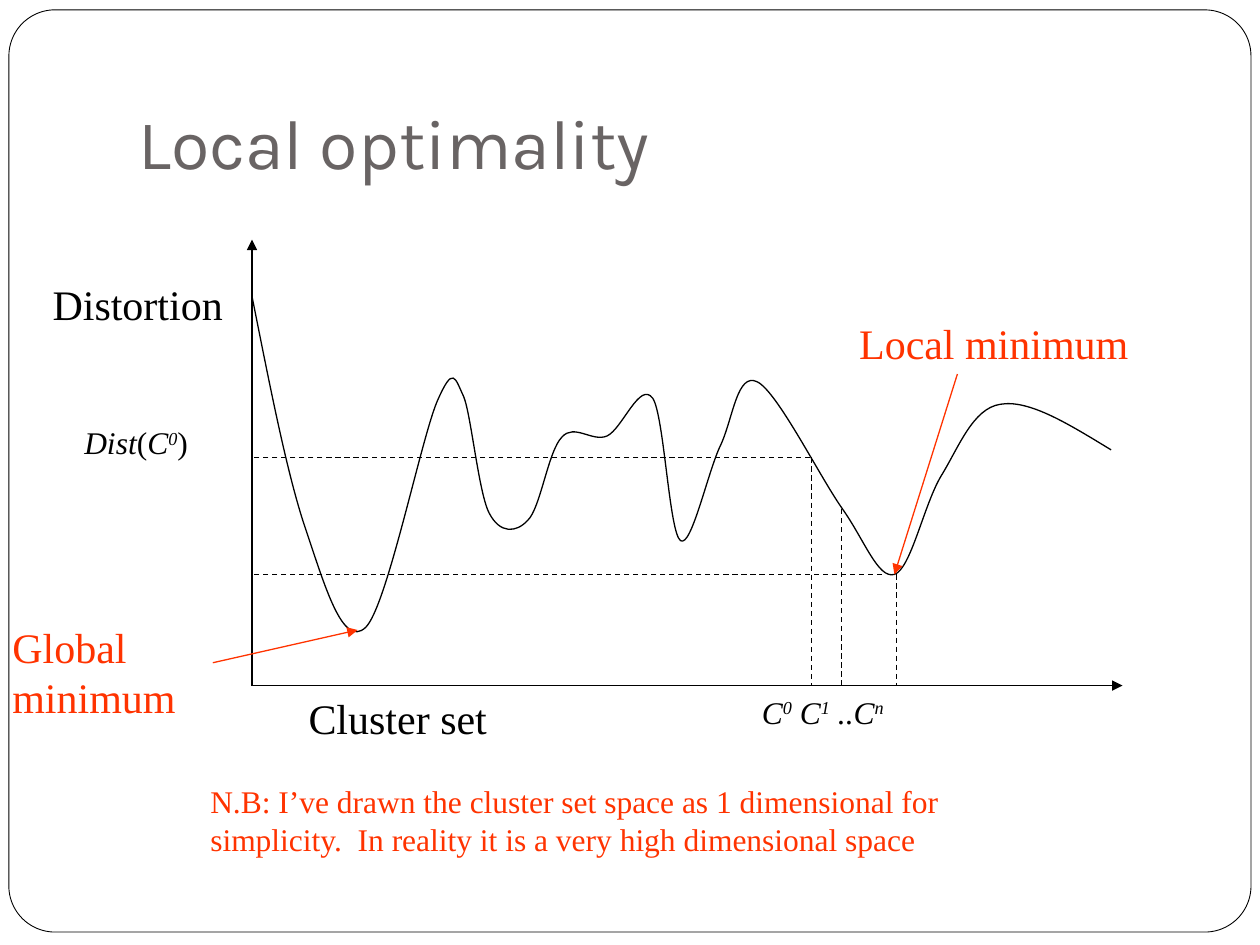
import pptx
import pptx.dml.color
import pptx.enum.dml
import pptx.enum.shapes
import pptx.enum.text
import pptx.oxml.ns
import pptx.oxml.xmlchemy
import pptx.util
from dataclasses import dataclass
from lxml import etree

Cm = pptx.util.Cm
qn = pptx.oxml.ns.qn


@dataclass(frozen=True)
class Theme:
    ink: str = "000000"
    paper: str = "FFFFFF"
    heading: str = "696464"
    accent: str = "FF3300"
    heading_font: str = "Karla"
    body_font: str = "Times New Roman"
    title_size: int = 40
    label_size: int = 24
    note_size: int = 18
    line_width: float = 0.75
    frame_width: float = 0.5


def rgb(colour):
    return pptx.dml.color.RGBColor.from_string(colour)


class Diagram:
    """Draws on one slide; all lengths are in centimetres."""

    def __init__(self, slide, theme):
        self.slide = slide
        self.theme = theme

    def stroke(self, line, colour, width=None):
        line.color.rgb = rgb(colour)
        line.width = pptx.util.Pt(width or self.theme.line_width)

    def frame(self, left, top, width, height, rounding):
        shape = self.slide.shapes.add_shape(
            pptx.enum.shapes.MSO_SHAPE.ROUNDED_RECTANGLE,
            Cm(left), Cm(top), Cm(width), Cm(height))
        shape.adjustments[0] = rounding
        shape.shadow.inherit = False
        shape.fill.solid()
        shape.fill.fore_color.rgb = rgb(self.theme.paper)
        self.stroke(shape.line, self.theme.ink, self.theme.frame_width)

    def text(self, left, top, width, height, content, size, colour=None, font=None, bottom=False):
        """Content is a string, or a list of (text, italic, raised) runs."""
        box = self.slide.shapes.add_textbox(Cm(left), Cm(top), Cm(width), Cm(height)).text_frame
        box.word_wrap = True
        if bottom:
            box.vertical_anchor = pptx.enum.text.MSO_ANCHOR.BOTTOM
            box.margin_bottom = Cm(0.25)
        paragraph = box.paragraphs[0]
        paragraph.font.name = font or self.theme.body_font
        paragraph.font.size = pptx.util.Pt(size)
        paragraph.font.color.rgb = rgb(colour or self.theme.ink)
        runs = [(content, False, False)] if isinstance(content, str) else content
        for words, italic, raised in runs:
            run = paragraph.add_run()
            run.text = words
            if italic:
                run.font.italic = True
            if raised:
                run._r.get_or_add_rPr().set("baseline", "30000")

    def line(self, start, end, colour=None, dashed=False, arrow=False):
        connector = self.slide.shapes.add_connector(
            pptx.enum.shapes.MSO_CONNECTOR.STRAIGHT, *map(Cm, (*start, *end)))
        self.stroke(connector.line, colour or self.theme.ink)
        if dashed:
            connector.line.dash_style = pptx.enum.dml.MSO_LINE.DASH
        properties = connector._element.spPr
        if arrow:
            etree.SubElement(properties.find(qn("a:ln")), qn("a:tailEnd"), type="triangle")
        etree.SubElement(properties, qn("a:effectLst"))

    def curve(self, start, segments):
        """Each segment holds two control points and an end point."""
        builder = self.slide.shapes.build_freeform(*map(Cm, start))
        builder.add_line_segments(
            [(Cm(x), Cm(y)) for segment in segments for x, y in segment], close=False)
        shape = builder.convert_to_shape()
        shape.shadow.inherit = False
        shape.fill.background()
        self.stroke(shape.line, self.theme.ink)
        # Turn every three straight steps into one cubic Bézier
        steps = list(shape._element.iter(qn("a:lnTo")))
        for first in range(0, len(steps), 3):
            bezier = etree.Element(qn("a:cubicBezTo"))
            steps[first].addprevious(bezier)
            for step in steps[first:first + 3]:
                bezier.append(step[0])
                step.getparent().remove(step)


DISTORTION_START = (5.08, 5.97)
DISTORTION_SEGMENTS = [
    ((5.44, 7.77), (5.79, 9.58), (6.17, 10.69)),
    ((6.55, 11.81), (6.91, 13.08), (7.37, 12.65)),
    ((7.8, 12.24), (8.48, 8.89), (8.81, 8.1)),
    ((9.14, 7.34), (9.17, 7.62), (9.35, 8)),
    ((9.5, 8.38), (9.65, 9.93), (9.86, 10.34)),
    ((10.08, 10.77), (10.41, 10.74), (10.64, 10.49)),
    ((10.9, 10.24), (11.05, 9.09), (11.33, 8.81)),
    ((11.58, 8.53), (11.94, 8.92), (12.24, 8.79)),
    ((12.55, 8.64), (12.9, 7.67), (13.16, 8.03)),
    ((13.39, 8.38), (13.49, 10.74), (13.72, 10.9)),
    ((13.94, 11.05), (14.27, 9.5), (14.53, 8.97)),
    ((14.78, 8.43), (14.86, 7.49), (15.27, 7.7)),
    ((15.67, 7.9), (16.51, 9.58), (16.97, 10.24)),
    ((17.42, 10.87), (17.7, 11.68), (18.03, 11.58)),
    ((18.36, 11.48), (18.62, 10.19), (18.97, 9.6)),
    ((19.33, 9.02), (19.61, 8.23), (20.17, 8.15)),
    ((20.75, 8.05), (21.56, 8.56), (22.4, 9.07)),
]


def main():
    presentation = pptx.Presentation()
    presentation.slide_width, presentation.slide_height = Cm(25.4), Cm(19.05)
    slide = presentation.slides.add_slide(presentation.slide_layouts[6])
    theme = Theme()
    diagram = Diagram(slide, theme)

    # Frame and title
    diagram.frame(0.18, 0.2, 25.04, 18.59, 0.05)
    diagram.text(2.54, 0.76, 21.59, 3.18, "Local optimality", theme.title_size,
                 theme.heading, theme.heading_font, bottom=True)

    # Axes
    axis_x, axis_y = 5.08, 13.82
    diagram.line((axis_x, axis_y), (22.63, axis_y), arrow=True)
    diagram.line((axis_x, axis_y), (axis_x, 4.83), arrow=True)
    diagram.text(0.81, 5.49, 4.62, 1.27, "Distortion", theme.label_size)
    diagram.text(5.97, 13.84, 8.84, 1.27, "Cluster set", theme.label_size)

    # Iterations: drops to the cluster axis, levels to the distortion axis
    first_level, last_level = 9.22, 11.58
    for drop_x, drop_top in ((16.36, first_level), (16.97, 10.26), (18.08, last_level)):
        diagram.line((drop_x, drop_top), (drop_x, axis_y), dashed=True)
    for level_end, level in ((16.33, first_level), (17.78, last_level)):
        diagram.line((level_end, level), (axis_x, level), dashed=True)
    diagram.text(15.11, 13.84, 4.27, 1.02,
                 [("C", True, False), ("0", True, True), (" C", True, False),
                  ("1", True, True), (" ..C", True, False), ("n", True, True)],
                 theme.note_size)
    diagram.text(1.45, 8.41, 3.94, 1.02,
                 [("Dist", True, False), ("(", False, False), ("C", True, False),
                  ("0", True, True), (")", False, False)],
                 theme.note_size)

    # Distortion curve
    diagram.curve(DISTORTION_START, DISTORTION_SEGMENTS)

    # Minima
    diagram.text(17.07, 6.27, 7.54, 1.27, "Local minimum", theme.label_size, theme.accent)
    diagram.line((19.3, 7.54), (18.03, last_level), theme.accent, arrow=True)
    diagram.text(0, 12.4, 5.26, 2.29, "Global minimum", theme.label_size, theme.accent)
    diagram.line((4.29, 13.36), (7.21, 12.7), theme.accent, arrow=True)

    # Remark
    diagram.text(3.99, 15.65, 15.65, 1.78,
                 "N.B: I’ve drawn the cluster set space as 1 dimensional for simplicity.  "
                 "In reality it is a very high dimensional space",
                 theme.note_size, theme.accent)

    presentation.save("out.pptx")


if __name__ == "__main__":
    main()
